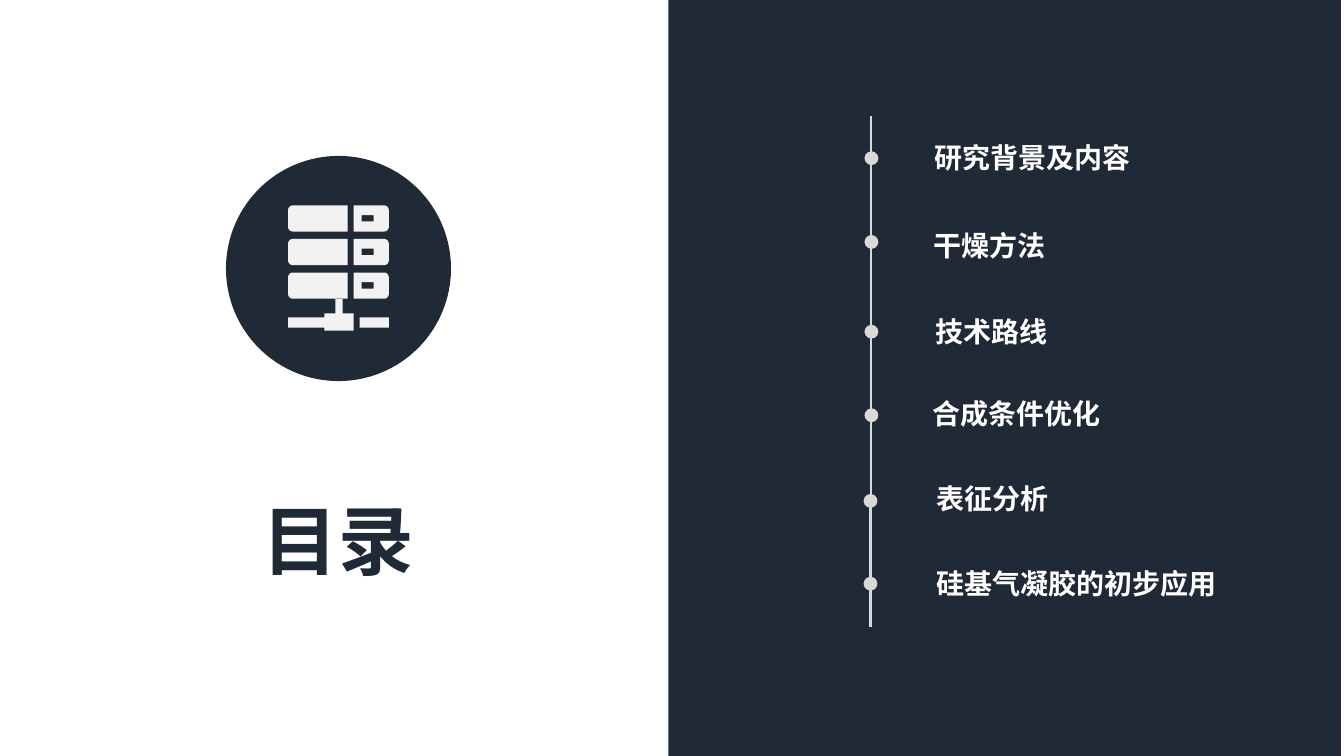
from math import cos, radians, sin

from lxml import etree
from pptx import Presentation
from pptx.dml.color import RGBColor
from pptx.enum.shapes import MSO_CONNECTOR, MSO_SHAPE
from pptx.enum.text import MSO_AUTO_SIZE, PP_ALIGN
from pptx.oxml.ns import qn
from pptx.util import Pt

STRAIGHT = MSO_CONNECTOR.STRAIGHT
OVAL = MSO_SHAPE.OVAL
RECTANGLE = MSO_SHAPE.RECTANGLE
FIT_SHAPE = MSO_AUTO_SIZE.SHAPE_TO_FIT_TEXT
CENTER = PP_ALIGN.CENTER

FONT = "Noto Sans CJK SC"
COLORS = {"navy": "202A36", "white": "FFFFFF", "icon": "F2F2F2", "line": "D9D9D9"}

TOPICS = [
    ("研究背景及内容", 660.2, 96.5),
    ("干燥方法", 659.5, 159.8),
    ("技术路线", 661, 221),
    ("合成条件优化", 658.8, 279.4),
    ("表征分析", 661.7, 340.6),
    ("硅基气凝胶的初步应用", 661, 401),
]

TIMELINE = [
    (622.1, 447.8, 416.9, True),
    (622.1, 423.4, 357.8, True),
    (622.8, 356.4, 296.6, True),
    (622.8, 296.6, 236.9, True),
    (622.8, 232.6, 172.8, True),
    (622.8, 172.8, 113, True),
    (622.8, 113, 82.8, False),
]


def color(name):
    return RGBColor.from_string(COLORS[name])


def paint(shape, fill):
    shape.shadow.inherit = False
    shape.fill.solid()
    shape.fill.fore_color.rgb = color(fill)
    shape.line.fill.background()


def add_filled_shape(shapes, kind, left, top, width, height, fill):
    shape = shapes.add_shape(kind, Pt(left), Pt(top), Pt(width), Pt(height))
    paint(shape, fill)


def add_text(slide, text, left, top, width, height, size, fill, space_before=0):
    box = slide.shapes.add_textbox(Pt(left), Pt(top), Pt(width), Pt(height))
    frame = box.text_frame
    frame.word_wrap = False
    frame.auto_size = FIT_SHAPE
    paragraph = frame.paragraphs[0]
    paragraph.text = text
    paragraph.alignment = CENTER
    paragraph.space_before = Pt(space_before)
    font = paragraph.font
    font.name = FONT
    font.size = Pt(size)
    font.bold = True
    font.color.rgb = color(fill)
    properties = paragraph._p.pPr.find(qn("a:defRPr"))
    etree.SubElement(properties, qn("a:ea"), typeface=FONT)


def add_timeline_segment(slide, x, start, end, dotted):
    connector = slide.shapes.add_connector(STRAIGHT, Pt(x), Pt(start), Pt(x), Pt(end))
    connector.line.color.rgb = color("line")
    connector.line.width = Pt(1.5)
    properties = connector._element.spPr
    if dotted:
        line = properties.find(qn("a:ln"))
        etree.SubElement(line, qn("a:tailEnd"), type="oval", w="lg", len="lg")
    etree.SubElement(properties, qn("a:effectLst"))


def rectangle(left, top, right, bottom):
    return [(left, top), (right, top), (right, bottom), (left, bottom)]


def corner(x, y, first_angle, radius=3.4):
    angles = [radians(first_angle + step) for step in range(0, 91, 15)]
    return [(x + radius * cos(angle), y + radius * sin(angle)) for angle in angles]


def server_contours(top):
    bottom = top + 18.7
    upper, lower = top + 3.4, bottom - 3.4
    left_bay = [(248.4, top), (248.4, bottom)]
    left_bay += corner(209.3, lower, 90) + corner(209.3, upper, 180)
    right_bay = [(252.7, bottom), (252.7, top)]
    right_bay += corner(274.5, upper, 270) + corner(274.5, lower, 0)
    return [left_bay, right_bay, rectangle(258.5, top + 6.9, 267.1, top + 11.5)]


def add_server_icon(shapes):
    network = [
        (239.8, 213), (244.8, 213), (244.8, 223.9), (252.7, 223.9),
        (252.7, 236.2), (231.8, 236.2), (231.8, 234), (205.9, 234),
        (205.9, 226.8), (231.8, 226.8), (231.8, 223.9), (239.8, 223.9),
    ]
    contours = [network, rectangle(257, 226.8, 277.9, 234)]
    for row in range(3):
        contours += server_contours(146.7 + 24 * row)
    contours = [[(Pt(x), Pt(y)) for x, y in contour] for contour in contours]
    builder = shapes.build_freeform(*contours[0][0])
    for index, contour in enumerate(contours):
        if index:
            builder.move_to(*contour[0])
        builder.add_line_segments(contour[1:], close=True)
    paint(builder.convert_to_shape(), "icon")


def main():
    presentation = Presentation()
    presentation.slide_width = Pt(960.5)
    presentation.slide_height = Pt(540)
    slide = presentation.slides.add_slide(presentation.slide_layouts[6])

    add_text(slide, "目录", 180, 349.2, 123.8, 72.7, 54, "navy")
    emblem = slide.shapes.add_group_shape()
    add_filled_shape(emblem.shapes, OVAL, 161.5, 111.4, 160.8, 160.8, "navy")
    add_server_icon(emblem.shapes)

    add_filled_shape(slide.shapes, RECTANGLE, 477.7, 0, 480.6, 540, "navy")
    for segment in TIMELINE:
        add_timeline_segment(slide, *segment)
    for topic, left, top in TOPICS:
        width = 14.2 + 20.25 * len(topic)
        add_text(slide, topic, left, top, width, 31.7, 20, "white", 5)

    presentation.save("out.pptx")


if __name__ == "__main__":
    main()
